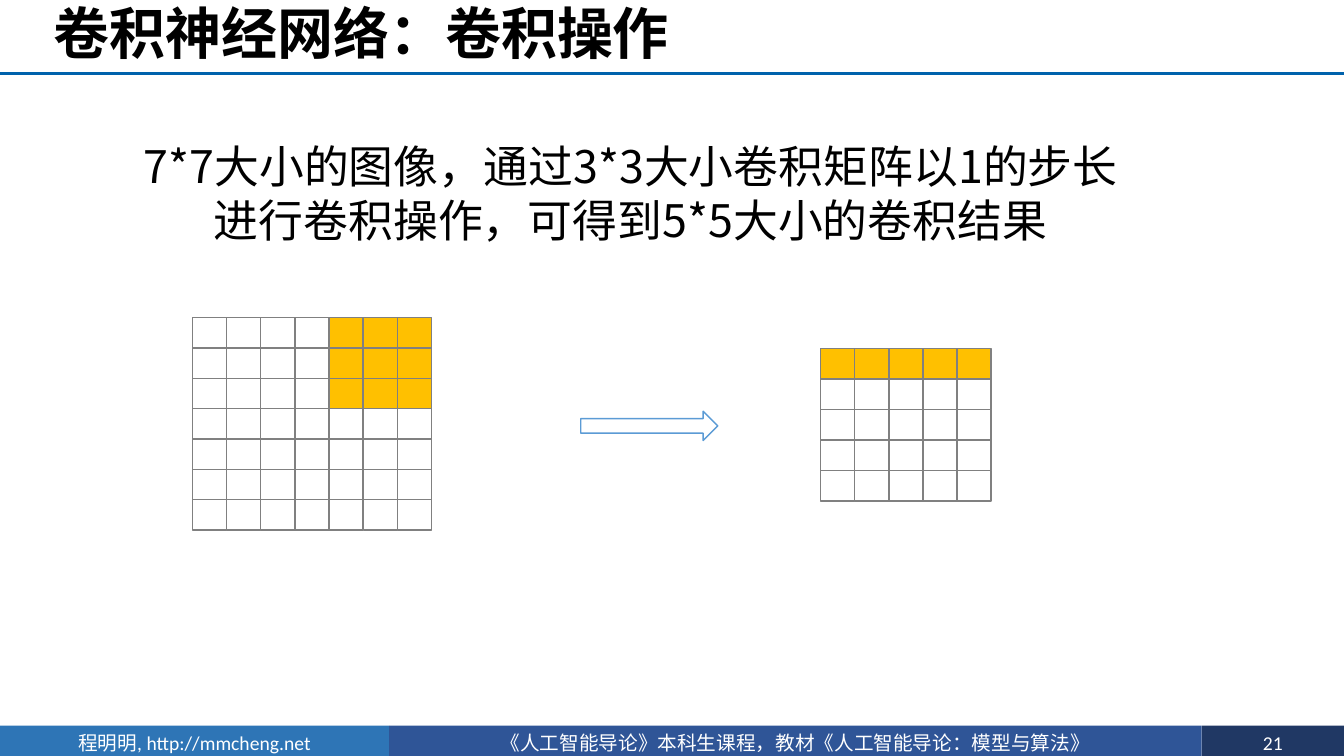
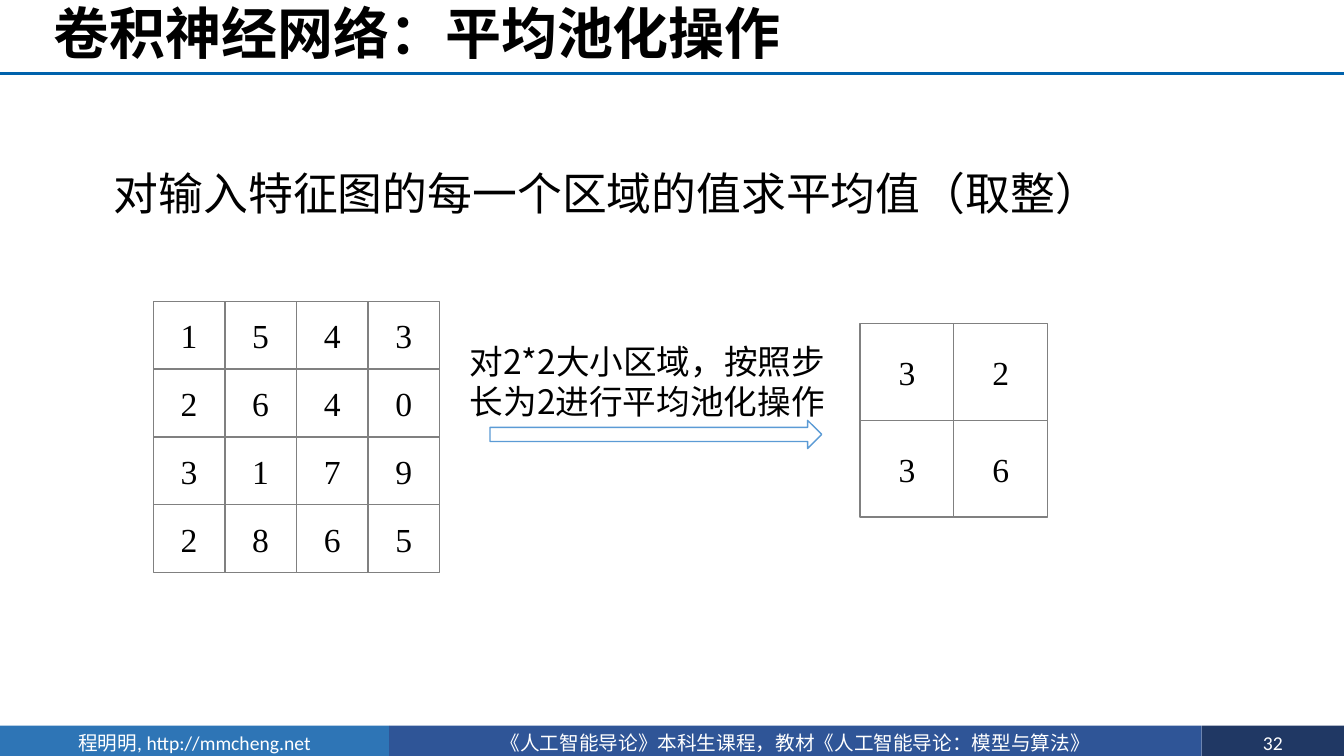
from lxml import etree
from pptx import Presentation
from pptx.dml.color import RGBColor
from pptx.enum import shapes, text
from pptx.oxml import ns
from pptx.util import Inches, Pt

BLACK = RGBColor(0x00, 0x00, 0x00)
WHITE = RGBColor(0xFF, 0xFF, 0xFF)
GRAY = RGBColor(0x80, 0x80, 0x80)
HIGHLIGHT = RGBColor(0xFF, 0xC0, 0x00)
ARROW_BLUE = RGBColor(0x5B, 0x9B, 0xD5)
RULE_BLUE = RGBColor(0x00, 0x62, 0xAC)
AUTHOR_BLUE = RGBColor(0x2E, 0x75, 0xB6)
COURSE_BLUE = RGBColor(0x2F, 0x55, 0x97)
NUMBER_BLUE = RGBColor(0x20, 0x38, 0x64)

CJK_FONT = "Noto Sans CJK SC"
TITLE_STYLE = {"name": "Times New Roman", "size": Pt(40), "bold": True}
BODY_STYLE = {"name": CJK_FONT, "size": Pt(32)}
LABEL_STYLE = {"name": CJK_FONT, "size": Pt(24)}
CELL_STYLE = {"name": "Times New Roman", "size": Pt(24)}
FOOTER_STYLE = {"name": "Calibri", "size": Pt(14)}

SLIDE_WIDTH, SLIDE_HEIGHT = 13.33, 7.5
RULE_TOP = 0.73
FOOTER_TOP, FOOTER_HEIGHT = 7.2, 0.34
AUTHOR = "程明明, http://mmcheng.net"
COURSE = "《人工智能导论》本科生课程，教材《人工智能导论：模型与算法》"


def inches(*lengths):
    return [Inches(length) for length in lengths]


def write(shape, words, style, color=BLACK, align=text.PP_ALIGN.CENTER):
    """Fill a shape with one formatted paragraph and return the paragraph."""
    shape.text_frame.word_wrap = True
    paragraph = shape.text_frame.paragraphs[0]
    paragraph.alignment = align
    run = paragraph.add_run()
    run.text = words
    for attribute, value in style.items():
        setattr(run.font, attribute, value)
    run.font.color.rgb = color
    east_asian = etree.SubElement(run.font._element, ns.qn("a:ea"))
    east_asian.set("typeface", CJK_FONT)
    return paragraph


def add_block(parent, kind, box, fill, line=None):
    """Add a flat preset shape, outlined only if a line colour is given."""
    shape = parent.shapes.add_shape(kind, *inches(*box))
    shape.shadow.inherit = False
    shape.fill.solid()
    shape.fill.fore_color.rgb = fill
    if line is None:
        shape.line.fill.background()
    else:
        shape.line.color.rgb = line
        shape.line.width = Pt(1)
    return shape


def add_rectangle(parent, box, fill, line=None):
    return add_block(parent, shapes.MSO_SHAPE.RECTANGLE, box, fill, line)


def add_arrow(slide, box):
    add_block(slide, shapes.MSO_SHAPE.RIGHT_ARROW, box, WHITE, ARROW_BLUE)


def add_text(slide, box, words, style, align=text.PP_ALIGN.CENTER):
    text_box = slide.shapes.add_textbox(*inches(*box))
    write(text_box, words, style, align=align)
    text_box.text_frame.auto_size = text.MSO_AUTO_SIZE.SHAPE_TO_FIT_TEXT


def add_grid(slide, box, rows, columns, highlighted=(), values=None):
    """Divide the box into equal cells, grouped together."""
    left, top, width, height = box
    cell_width, cell_height = width / columns, height / rows
    group = slide.shapes.add_group_shape()
    for row in range(rows):
        for column in range(columns):
            fill = HIGHLIGHT if (row, column) in highlighted else WHITE
            cell_box = (left + column * cell_width, top + row * cell_height,
                        cell_width, cell_height)
            cell = add_rectangle(group, cell_box, fill, GRAY)
            if values:
                write(cell, str(values[row][column]), CELL_STYLE)


def add_title(slide, words):
    title = slide.shapes.title
    title.left, title.top, title.width, title.height = inches(
        0.43, 0, SLIDE_WIDTH - 0.43, RULE_TOP)
    frame = title.text_frame
    frame.auto_size = text.MSO_AUTO_SIZE.NONE
    frame.vertical_anchor = text.MSO_ANCHOR.MIDDLE
    paragraph = write(title, words, TITLE_STYLE, align=text.PP_ALIGN.LEFT)
    paragraph.line_spacing = 0.9


def add_rule(slide):
    rule = slide.shapes.add_connector(
        shapes.MSO_CONNECTOR.STRAIGHT,
        *inches(0, RULE_TOP, SLIDE_WIDTH, RULE_TOP))
    rule.line.color.rgb = RULE_BLUE
    rule.line.width = Pt(2)
    etree.SubElement(rule._element.spPr, ns.qn("a:effectLst"))


def add_footer(slide, number):
    left = 0
    for words, width, fill in ((AUTHOR, 3.86, AUTHOR_BLUE),
                               (COURSE, 8.06, COURSE_BLUE),
                               (str(number), 1.41, NUMBER_BLUE)):
        band = add_rectangle(
            slide, (left, FOOTER_TOP, width, FOOTER_HEIGHT), fill)
        write(band, words, FOOTER_STYLE, WHITE)
        left += width


def add_lecture_slide(presentation, title, number):
    """Add a slide with the shared title, rule and footer."""
    slide = presentation.slides.add_slide(presentation.slide_layouts[5])
    add_footer(slide, number)
    add_rule(slide)
    add_title(slide, title)
    return slide


def build_convolution(presentation):
    slide = add_lecture_slide(presentation, "卷积神经网络：卷积操作", 21)
    kernel = {(row, column) for row in range(3) for column in range(4, 7)}
    first_row = {(0, column) for column in range(5)}
    add_grid(slide, (1.91, 3.15, 2.37, 2.11), 7, 7, kernel)
    add_grid(slide, (8.14, 3.46, 1.69, 1.51), 5, 5, first_row)
    add_arrow(slide, (5.76, 4.08, 1.36, 0.29))
    add_text(slide, (1.17, 1.33, 10.17, 1.18),
             "7*7大小的图像，通过3*3大小卷积矩阵以1的步长进行卷积操作，"
             "可得到5*5大小的卷积结果", BODY_STYLE)


def build_average_pooling(presentation):
    slide = add_lecture_slide(presentation, "卷积神经网络：平均池化操作", 32)
    add_text(slide, (1.03, 1.59, 10.17, 0.64),
             "对输入特征图的每一个区域的值求平均值（取整）", BODY_STYLE,
             text.PP_ALIGN.LEFT)
    features = [[1, 5, 4, 3], [2, 6, 4, 0], [3, 1, 7, 9], [2, 8, 6, 5]]
    averages = [[3, 2], [3, 6]]
    add_grid(slide, (1.52, 2.99, 2.84, 2.69), 4, 4, values=features)
    add_arrow(slide, (4.86, 4.17, 3.29, 0.28))
    add_grid(slide, (8.53, 3.21, 1.86, 1.92), 2, 2, values=averages)
    add_text(slide, (4.47, 3.33, 3.9, 0.91),
             "对2*2大小区域，按照步长为2进行平均池化操作", LABEL_STYLE)


def main():
    presentation = Presentation()
    presentation.slide_width = Inches(SLIDE_WIDTH)
    presentation.slide_height = Inches(SLIDE_HEIGHT)
    build_convolution(presentation)
    build_average_pooling(presentation)
    presentation.save("out.pptx")


if __name__ == "__main__":
    main()
